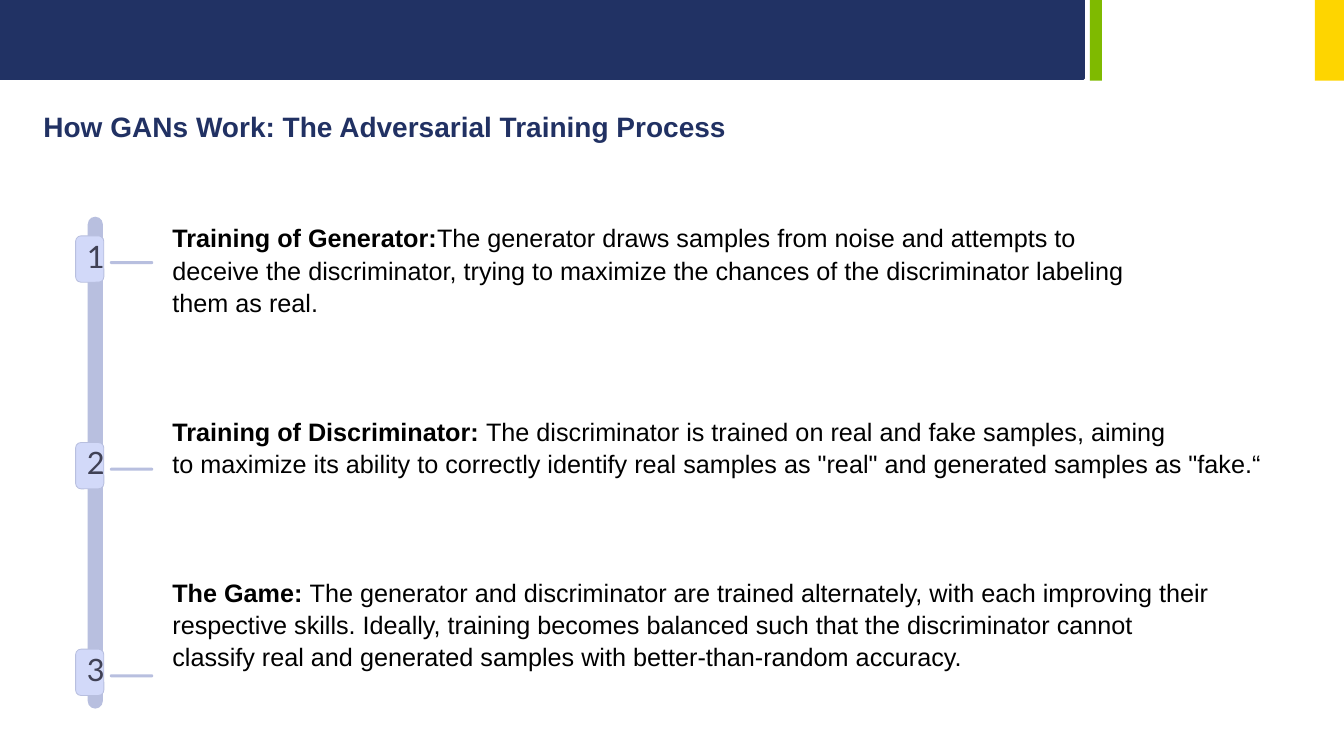
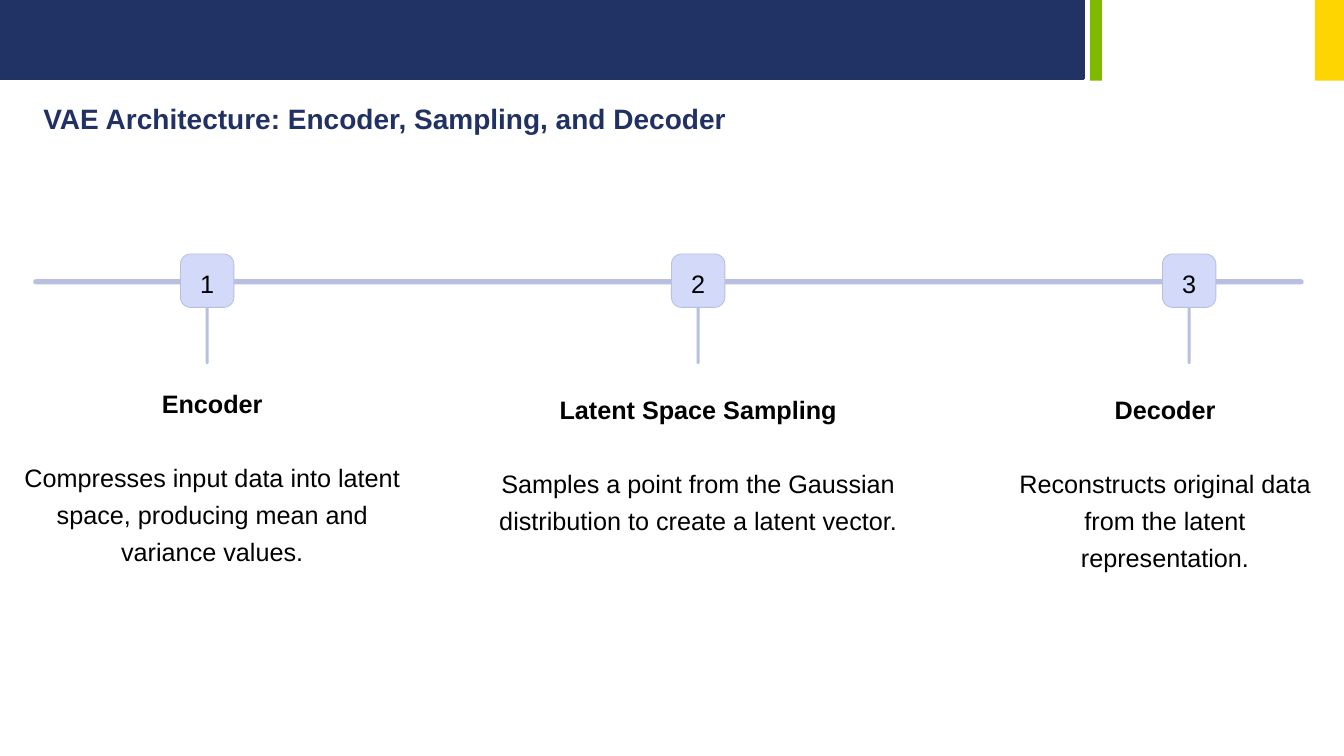
import pptx
import pptx.dml.color
import pptx.enum.shapes
import pptx.enum.text
import pptx.oxml
import pptx.util

Inches = pptx.util.Inches
Pt = pptx.util.Pt
Kind = pptx.enum.shapes.MSO_SHAPE
Align = pptx.enum.text.PP_ALIGN
Anchor = pptx.enum.text.MSO_ANCHOR


def color(code):
    return pptx.dml.color.RGBColor.from_string(code)


class Deck:
    """Hold the shared style and the current slide."""

    face = "Arial"
    navy, green, gold = "213264", "7FBA00", "FED500"
    head, ink, slate = "213163", "000000", "404155"
    rail, pale = "B8BFDF", "D2D9F9"

    def __init__(self):
        self.prs = pptx.Presentation()
        self.prs.slide_width = Inches(13.33)
        self.prs.slide_height = Inches(7.5)
        self.slide = None

    def start(self, layout, title, top, width):
        first = self.slide is None
        self.slide = self.prs.slides.add_slide(self.prs.slide_layouts[layout])
        if first:
            self.bands()
        frame = self.place(self.slide.shapes.title, 0.33, top, width, 0.65)
        para = frame.paragraphs[0]
        para.text = title
        self.style(para, 20, 46, self.head, Align.LEFT, bold=True)

    def bands(self):
        tree = self.prs.slide_master.shapes.element
        bars = ((0, 10.75, 0.78, self.navy, 2),
                (10.81, 0.12, 0.8, self.green, 0),
                (13.04, 0.29, 0.8, self.gold, 0))
        for num, (left, width, height, fill, line) in enumerate(bars):
            node = self.shape(Kind.RECTANGLE, left, 0, width, height,
                              fill, fill, line).element
            node.xpath("./p:nvSpPr/p:cNvPr")[0].set("id", str(20 + num))
            tree.insert(2 + num, node)

    def place(self, holder, left, top, width, height):
        holder.left, holder.top = Inches(left), Inches(top)
        holder.width, holder.height = Inches(width), Inches(height)
        frame = holder.text_frame
        frame.word_wrap = True
        frame.auto_size = pptx.enum.text.MSO_AUTO_SIZE.NONE
        frame.vertical_anchor = Anchor.TOP
        return frame

    def pad(self, frame, left=0):
        frame.margin_left = Inches(left)
        frame.margin_right = frame.margin_top = frame.margin_bottom = 0

    def style(self, para, size, line, tint, align, face=None, bold=False,
              gap=0):
        para.alignment = align
        para.line_spacing = Pt(line)
        para.space_before = Pt(gap)
        font = para.font
        font.name, font.size, font.bold = face or self.face, Pt(size), bold
        font.color.rgb = color(tint)

    def shape(self, kind, left, top, width, height, fill, edge=None, line=0):
        item = self.slide.shapes.add_shape(
            kind, Inches(left), Inches(top), Inches(width), Inches(height))
        item.shadow.inherit = False
        item.fill.solid()
        item.fill.fore_color.rgb = color(fill)
        if line:
            item.line.color.rgb = color(edge)
            item.line.width = Pt(line)
        else:
            item.line.fill.background()
        return item

    def bar(self, left, top, width, height):
        item = self.shape(Kind.ROUNDED_RECTANGLE, left, top, width, height,
                          self.rail)
        item.adjustments[0] = 0.5

    def tile(self, num, left, top, width, height, size, line, tint,
             face=None, shift=0):
        item = self.shape(Kind.ROUNDED_RECTANGLE, left, top, width, height,
                          self.pale, self.rail, 0.6)
        item.adjustments[0] = 0.19
        frame = item.text_frame
        self.pad(frame, shift)
        frame.word_wrap = False
        frame.vertical_anchor = Anchor.MIDDLE
        para = frame.paragraphs[0]
        para.text = str(num)
        self.style(para, size, line, tint, Align.CENTER, face)

    def steps(self, items, left, top, width, height):
        frame = self.place(self.slide.placeholders[1],
                           left, top, width, height)
        self.pad(frame)
        for num, (label, lines) in enumerate(items):
            para = frame.add_paragraph() if num else frame.paragraphs[0]
            props = para._p.get_or_add_pPr()
            props.set("marL", "0")
            props.set("indent", "0")
            pptx.oxml.ns.qn("a:buNone")
            props.append(pptx.oxml.parse_xml(
                "<a:buNone xmlns:a="
                '"http://schemas.openxmlformats.org/drawingml/2006/main"/>'))
            self.style(para, 18, 23, self.ink, Align.LEFT,
                       gap=69 if num else 0)
            run = para.add_run()
            run.text = label
            run.font.bold = True
            for row, text in enumerate(lines):
                if row:
                    para.add_line_break()
                para.add_run().text = text

    def column(self, label, text, left, top, width, height):
        box = self.slide.shapes.add_textbox(
            Inches(left), Inches(top), Inches(width), Inches(height))
        frame = box.text_frame
        frame.word_wrap = True
        self.pad(frame)
        para = frame.paragraphs[0]
        para.text = label
        self.style(para, 18, 26.5, self.ink, Align.CENTER, bold=True)
        para = frame.add_paragraph()
        para.text = text
        self.style(para, 18, 26.5, self.ink, Align.CENTER, gap=26.5)


def gans(deck):
    deck.start(1, "How GANs Work: The Adversarial Training Process",
               0.73, 7.5)
    deck.bar(0.87, 2.15, 0.15, 4.88)
    for num in range(3):
        top = 2.34 + 2.05 * num
        deck.bar(1.09, top + 0.25, 0.43, 0.03)
        deck.tile(num + 1, 0.75, top, 0.28, 0.46, 22, 22, deck.slate,
                  "Lato", 0.12)
    deck.steps((
        ("Training of Generator:", (
            "The generator draws samples from noise and attempts to",
            "deceive the discriminator, trying to maximize the chances of "
            "the discriminator labeling",
            "them as real.")),
        ("Training of Discriminator: ", (
            "The discriminator is trained on real and fake samples, aiming",
            "to maximize its ability to correctly identify real samples as "
            '"real" and generated samples as "fake.“')),
        ("The Game: ", (
            "The generator and discriminator are trained alternately, with "
            "each improving their",
            "respective skills. Ideally, training becomes balanced such that "
            "the discriminator cannot",
            "classify real and generated samples with better-than-random "
            "accuracy."))), 1.71, 2.19, 11.2, 5.2)


def vae(deck):
    deck.start(5, "VAE Architecture: Encoder, Sampling, and Decoder",
               0.65, 8.13)
    deck.bar(0.33, 2.77, 12.6, 0.05)
    parts = (
        ("Encoder", "Compresses input data into latent space, producing "
         "mean and variance values.", 0.2, 3.78, 3.81),
        ("Latent Space Sampling", "Samples a point from the Gaussian "
         "distribution to create a latent vector.", 4.84, 3.84, 4.17),
        ("Decoder", "Reconstructs original data from the latent "
         "representation.", 9.94, 3.84, 3.23))
    for num, (label, text, left, top, width) in enumerate(parts):
        edge = 1.79 + 4.87 * num
        deck.bar(edge + 0.25, 2.79, 0.03, 0.82)
        deck.tile(num + 1, edge, 2.52, 0.53, 0.53, 18, 25, deck.ink)
        deck.column(label, text, left, top, width, 2.13)


def main():
    deck = Deck()
    gans(deck)
    vae(deck)
    deck.prs.save("out.pptx")


if __name__ == "__main__":
    main()
